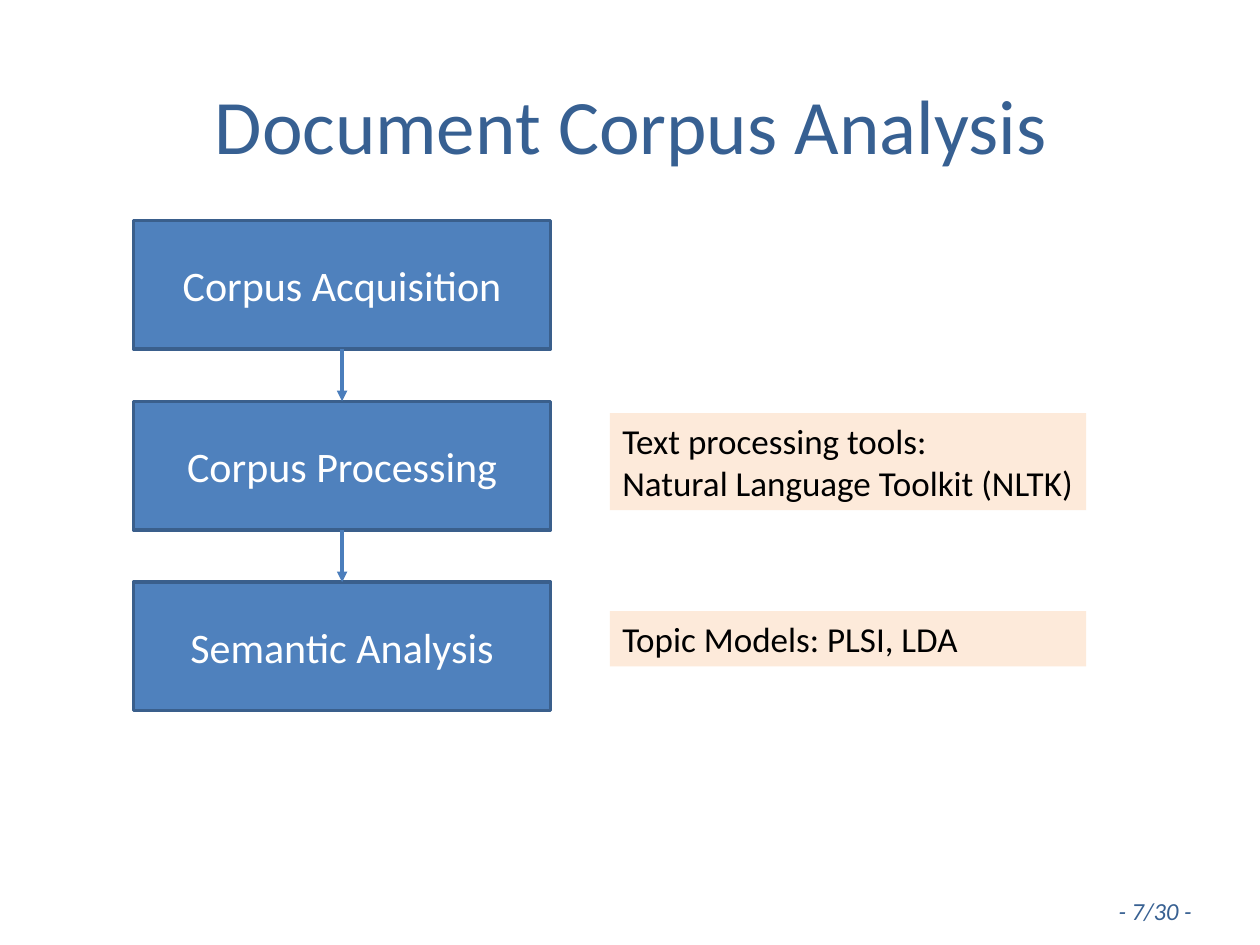
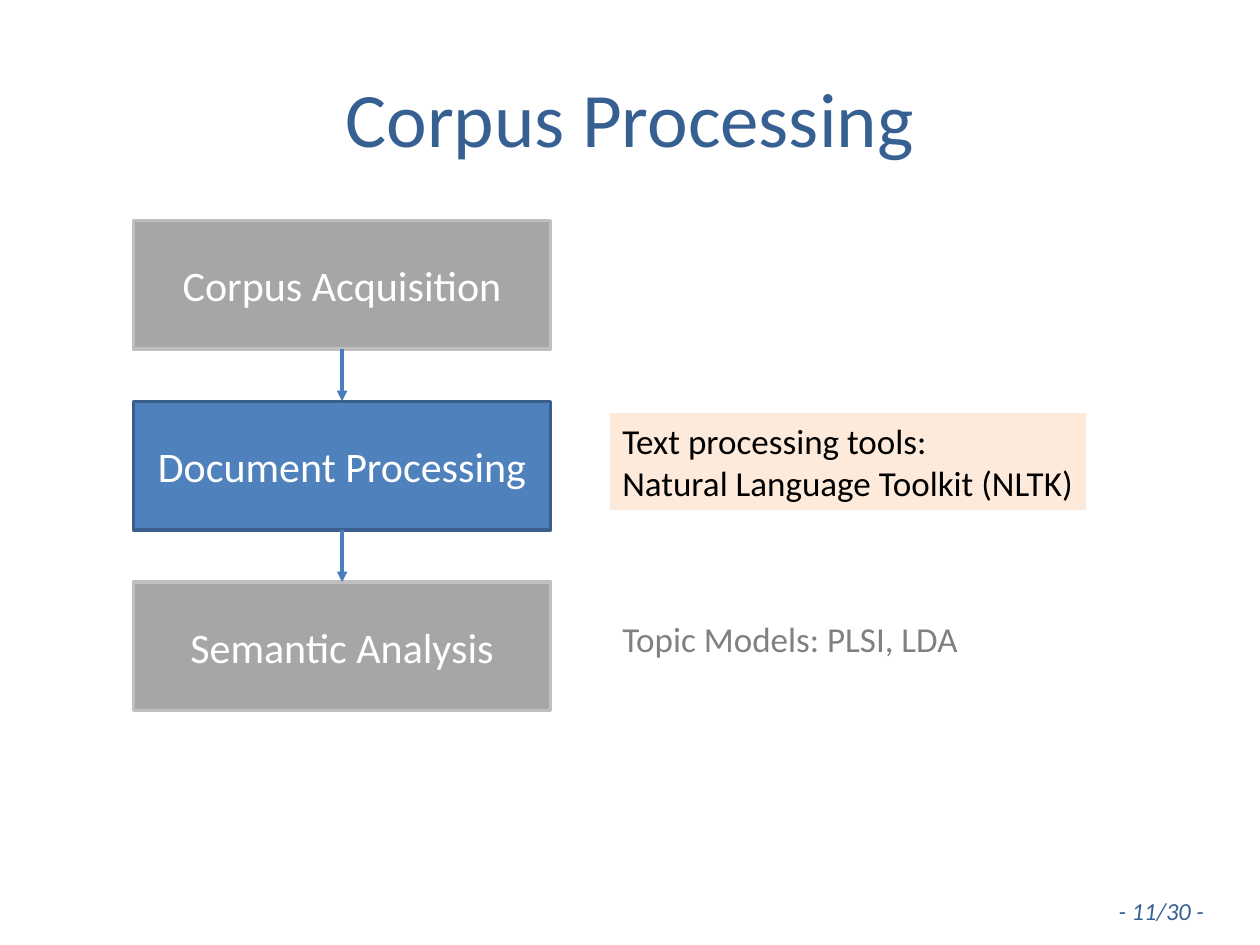
from dataclasses import dataclass

from lxml import etree
from pptx import Presentation
from pptx.dml.color import RGBColor
from pptx.enum.shapes import MSO_CONNECTOR, MSO_SHAPE
from pptx.enum.text import MSO_ANCHOR, PP_ALIGN
from pptx.oxml.ns import qn
from pptx.util import Inches, Pt

RECT = MSO_SHAPE.RECTANGLE
STRAIGHT = MSO_CONNECTOR.STRAIGHT
MIDDLE, TOP = MSO_ANCHOR.MIDDLE, MSO_ANCHOR.TOP
LEFT, CENTER = PP_ALIGN.LEFT, PP_ALIGN.CENTER
BOTTOM_SIDE, TOP_SIDE = 2, 0
TITLE_ONLY = 5


@dataclass(frozen=True)
class Theme:
    font: str = "Calibri"
    title: str = "376092"
    step: str = "4F81BD"
    edge: str = "3A5F8C"
    arrow: str = "4B7EBC"
    dim: str = "A6A6A6"
    dim_edge: str = "BFBFBF"
    dim_text: str = "808080"
    note: str = "FDEADA"
    white: str = "FFFFFF"
    black: str = "000000"
    title_size: int = 44
    step_size: int = 24
    note_size: int = 20
    page_size: int = 14
    stroke: int = 2


THEME = Theme()
TOTAL = 30
STEP_LEFT, STEP_TOP, STEP_WIDTH, STEP_HEIGHT = 1.06, 1.75, 3.31, 1.02
STEP_PITCH = (4.62 - STEP_TOP) / 2
NOTE_LEFT, NOTE_WIDTH = 4.84, 3.78
TOOLS = (3.28, 0.77, ["Text processing tools:", "Natural Language Toolkit (NLTK)"])
MODELS = (4.85, 0.44, ["Topic Models: PLSI, LDA"])


def rgb(code):
    return RGBColor.from_string(code)


def write(frame, lines, size, color, align=LEFT, anchor=TOP, italic=False):
    frame.vertical_anchor = anchor
    for i, line in enumerate(lines):
        para = frame.paragraphs[0] if i == 0 else frame.add_paragraph()
        para.alignment = align
        run = para.add_run()
        run.text = line
        font = run.font
        font.name, font.size, font.italic = THEME.font, Pt(size), italic
        font.color.rgb = rgb(color)


def add_title(slide, text, left, top):
    title = slide.shapes.title
    title.left, title.top = Inches(left), Inches(top)
    title.width, title.height = Inches(9), Inches(1.25)
    write(title.text_frame, [text], THEME.title_size, THEME.title, CENTER, MIDDLE)


def add_page(slide, number):
    box = slide.shapes.add_textbox(Inches(8.78), Inches(7.06), Inches(0.92), Inches(0.34))
    box.text_frame.word_wrap = False
    write(box.text_frame, [f"- {number}/{TOTAL} -"], THEME.page_size, THEME.title, italic=True)


def add_step(slide, text, row, dim):
    box = slide.shapes.add_shape(
        RECT, Inches(STEP_LEFT), Inches(STEP_TOP + row * STEP_PITCH),
        Inches(STEP_WIDTH), Inches(STEP_HEIGHT))
    box.shadow.inherit = False
    box.fill.solid()
    box.fill.fore_color.rgb = rgb(THEME.dim if dim else THEME.step)
    box.line.color.rgb = rgb(THEME.dim_edge if dim else THEME.edge)
    box.line.width = Pt(THEME.stroke)
    write(box.text_frame, [text], THEME.step_size, THEME.white, CENTER, MIDDLE)
    return box


def add_arrow(slide, upper, lower):
    arrow = slide.shapes.add_connector(STRAIGHT, 0, 0, 0, 0)
    arrow.begin_connect(upper, BOTTOM_SIDE)
    arrow.end_connect(lower, TOP_SIDE)
    arrow.line.color.rgb = rgb(THEME.arrow)
    arrow.line.width = Pt(THEME.stroke)
    etree.SubElement(arrow.line._get_or_add_ln(), qn("a:tailEnd"), type="triangle")
    etree.SubElement(arrow._element.spPr, qn("a:effectLst"))


def add_note(slide, note, dim):
    top, height, lines = note
    box = slide.shapes.add_textbox(
        Inches(NOTE_LEFT), Inches(top), Inches(NOTE_WIDTH), Inches(height))
    box.text_frame.word_wrap = True
    if not dim:
        box.fill.solid()
        box.fill.fore_color.rgb = rgb(THEME.note)
    write(box.text_frame, lines, THEME.note_size, THEME.dim_text if dim else THEME.black)


def add_flow(slide, names, focus=None):
    """Stack the linked steps; when focus is a row, dim all other rows."""
    dims = [focus is not None and row != focus for row in range(len(names))]
    steps = [add_step(slide, name, row, dims[row]) for row, name in enumerate(names)]
    for upper, lower in zip(steps, steps[1:]):
        add_arrow(slide, upper, lower)
    add_note(slide, TOOLS, dims[1])
    add_note(slide, MODELS, dims[2])


def add_slide(deck, title, left, top, page):
    slide = deck.slides.add_slide(deck.slide_layouts[TITLE_ONLY])
    add_page(slide, page)
    add_title(slide, title, left, top)
    return slide


def main():
    deck = Presentation()
    deck.slide_width, deck.slide_height = Inches(10), Inches(7.5)

    slide = add_slide(deck, "Document Corpus Analysis", 0.51, 0.36, 7)
    add_flow(slide, ["Corpus Acquisition", "Corpus Processing", "Semantic Analysis"])

    slide = add_slide(deck, "Corpus Processing", 0.5, 0.3, 11)
    add_flow(slide, ["Corpus Acquisition", "Document Processing", "Semantic Analysis"], focus=1)

    deck.save("out.pptx")


if __name__ == "__main__":
    main()
